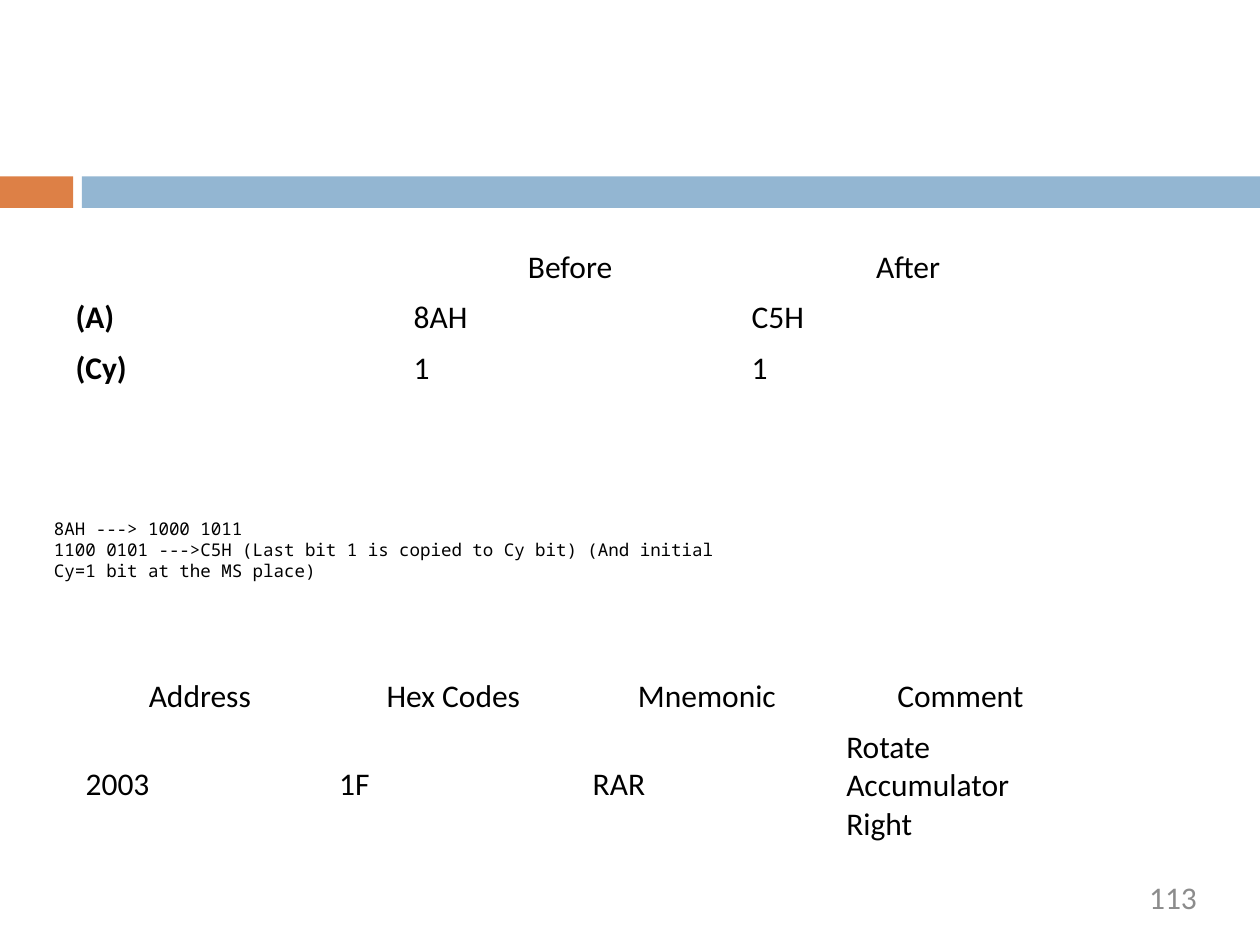
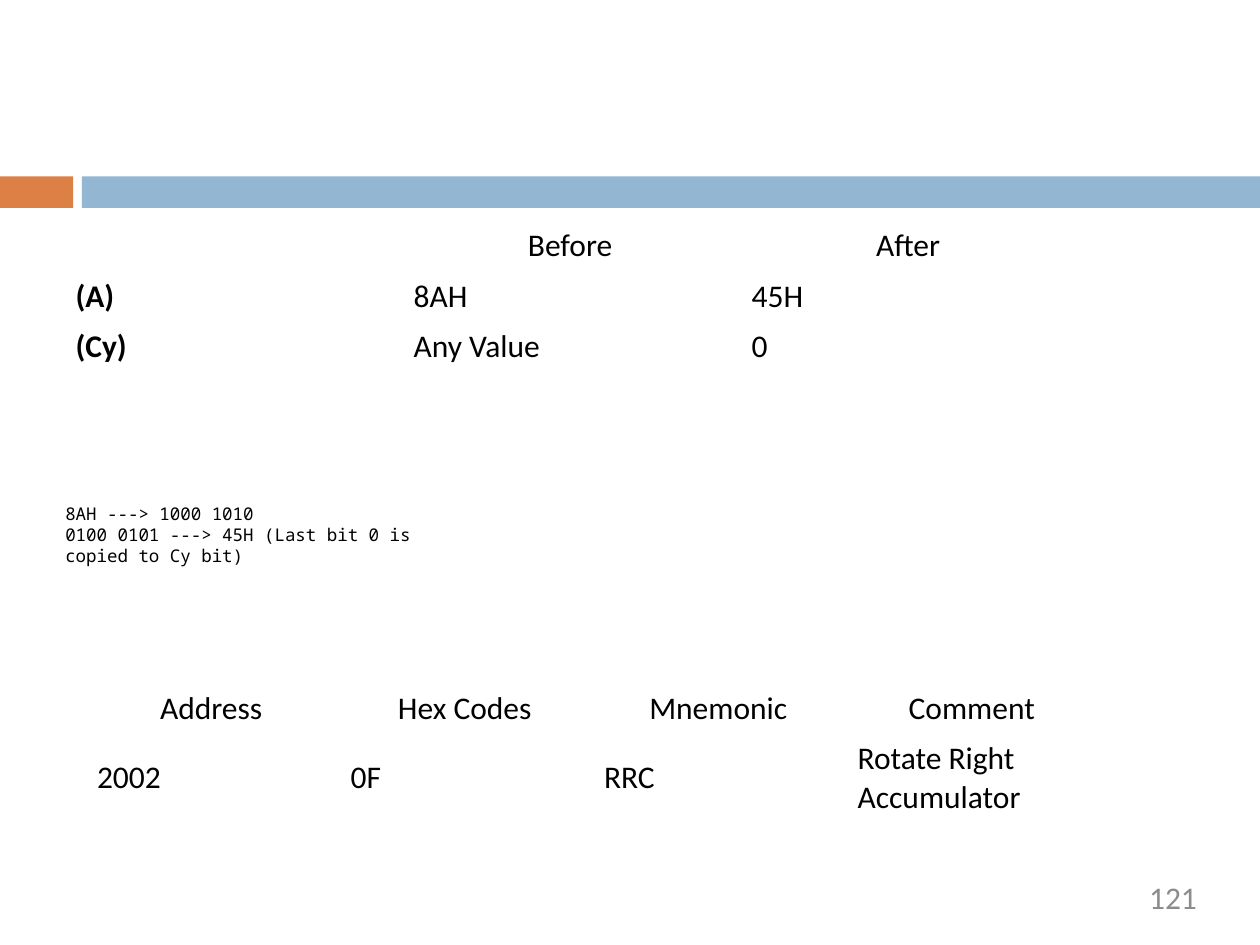
from pptx import Presentation
from pptx.dml.color import RGBColor
from pptx.enum.shapes import MSO_SHAPE as Shape
from pptx.enum.text import MSO_ANCHOR as Anchor, PP_ALIGN as Align
from pptx.util import Inches, Pt

BODY_FONT, CODE_FONT = "Calibri", "Noto Sans Mono"
BLACK, GREY, ORANGE, BLUE = "000000", "8C8C8C", "DD8046", "93B6D2"
TABLE_WIDTH = 8.05
ROW_HEIGHT = 0.4
CODE_HEIGHT = 0.74

REGISTER_HEADER = ["", "Before", "After"]
PROGRAM_HEADER = ["Address", "Hex Codes", "Mnemonic", "Comment"]


def set_color(target, color):
    target.rgb = RGBColor.from_string(color)


def format_text(frame, size, font=BODY_FONT, color=BLACK, align=Align.LEFT, bold=False):
    for para in frame.paragraphs:
        para.alignment = align
        para.font.size = Pt(size)
        for span in para.runs:
            span.font.name = font
            span.font.size = Pt(size)
            span.font.bold = bold
            set_color(span.font.color, color)


def add_band(page, left, width, color):
    band = page.shapes.add_shape(
        Shape.RECTANGLE, Inches(left), Inches(1.4), Inches(width), Inches(0.25))
    band.shadow.inherit = False
    band.fill.solid()
    set_color(band.fill.fore_color, color)
    band.line.fill.background()


def add_text(page, left, top, width, height, text, margins=(0.1, 0.05), **style):
    box = page.shapes.add_textbox(
        Inches(left), Inches(top), Inches(width), Inches(height))
    frame = box.text_frame
    frame.word_wrap = True
    frame.margin_left = frame.margin_right = Inches(margins[0])
    frame.margin_top = frame.margin_bottom = Inches(margins[1])
    frame.text = text
    format_text(frame, **style)


def add_plain_table(page, left, top, rows, bold_first_column=False):
    """Add a table without fills, with a centred header row."""
    table = page.shapes.add_table(
        len(rows), len(rows[0]), Inches(left), Inches(top),
        Inches(TABLE_WIDTH), Inches(ROW_HEIGHT * len(rows))).table
    table.first_row = table.horz_banding = False
    for row_index, row in enumerate(rows):
        for column_index, text in enumerate(row):
            cell = table.cell(row_index, column_index)
            cell.fill.background()
            cell.vertical_anchor = Anchor.MIDDLE
            cell.text = text
            format_text(cell.text_frame, size=18,
                        align=Align.LEFT if row_index else Align.CENTER,
                        bold=bold_first_column and column_index == 0)


def add_page(deck, number):
    """Add a slide with the shared bands and its page number."""
    page = deck.slides.add_slide(deck.slide_layouts[6])
    add_band(page, 0, 0.58, ORANGE)
    add_band(page, 0.65, 9.35, BLUE)
    add_text(page, 7.2, 6.97, 2.3, 0.38, str(number), margins=(0, 0),
             size=18, color=GREY, align=Align.RIGHT)
    return page


def add_registers(page, top, accumulator, carry):
    rows = [REGISTER_HEADER, ["(A)", *accumulator], ["(Cy)", *carry]]
    add_plain_table(page, 0.5, top, rows, bold_first_column=True)


def add_program(page, left, top, instruction):
    add_plain_table(page, left, top, [PROGRAM_HEADER, instruction])


def add_code(page, left, top, width, lines):
    add_text(page, left, top, width, CODE_HEIGHT, "\n".join(lines),
             margins=(0.1, 0), size=10, font=CODE_FONT)


def main():
    deck = Presentation()
    deck.slide_width, deck.slide_height = Inches(10), Inches(7.5)

    rar = add_page(deck, 113)
    add_registers(rar, 1.92, ["8AH", "C5H"], ["1", "1"])
    add_program(rar, 0.58, 5.33, ["2003", "1F", "RAR", "Rotate Accumulator Right"])
    add_code(rar, 0.33, 4.11, 5.58, [
        "8AH ---> 1000 1011",
        "1100 0101 --->C5H (Last bit 1 is copied to Cy bit) "
        "(And initial Cy=1 bit at the MS place)"])

    rrc = add_page(deck, 121)
    add_registers(rrc, 1.75, ["8AH", "45H"], ["Any Value", "0"])
    add_program(rrc, 0.67, 5.42, ["2002", "0F", "RRC", "Rotate Right Accumulator"])
    add_code(rrc, 0.42, 3.99, 3.29, [
        "8AH ---> 1000 1010",
        "0100 0101 ---> 45H (Last bit 0 is copied to Cy bit)"])

    deck.save("out.pptx")


if __name__ == "__main__":
    main()
